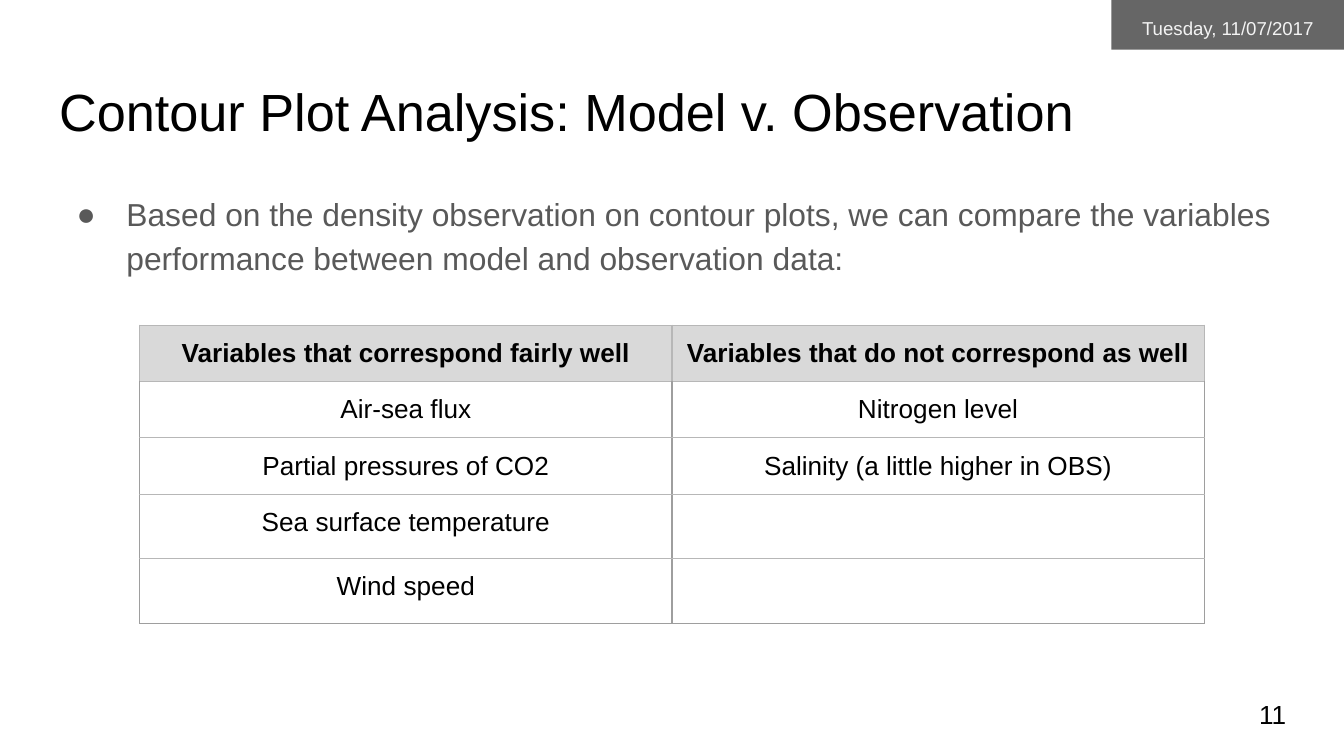
from lxml.etree import SubElement
from pptx import Presentation
from pptx.dml.color import RGBColor
from pptx.enum.shapes import MSO_SHAPE
from pptx.enum.text import MSO_ANCHOR, MSO_AUTO_SIZE, PP_ALIGN
from pptx.oxml.ns import qn
from pptx.util import Inches, Pt

# Content
TITLE = "Contour Plot Analysis: Model v. Observation"
POINT = ("Based on the density observation on contour plots, we can compare "
         "the variables performance between model and observation data:")
DATE = "Tuesday, 11/07/2017"
PAGE = "11"
ROWS = [
    ("Variables that correspond fairly well",
     "Variables that do not correspond as well"),
    ("Air-sea flux", "Nitrogen level"),
    ("Partial pressures of CO2", "Salinity (a little higher in OBS)"),
    ("Sea surface temperature", ""),
    ("Wind speed", ""),
]

THEME = {
    "font": "Arial",
    "ink": "000000", "body": "595959", "pale": "F3F3F3",
    "tag": "666666", "head": "D9D9D9", "line": "B7B7B7", "edge": "9E9E9E",
    "title_size": 28, "body_size": 17, "cell_size": 14, "date_size": 10,
    "blank_size": 18,
}
COL_W, ROW_H = Inches(3.96), Inches(5) // 12


def place(shape, left, top, width, height):
    shape.left, shape.top = Inches(left), Inches(top)
    shape.width, shape.height = Inches(width), Inches(height)


def write(frame, text, size, color, align=PP_ALIGN.LEFT, bold=False):
    frame.text = text
    para = frame.paragraphs[0]
    para.alignment = align
    font = para.font
    font.name, font.size, font.bold = THEME["font"], Pt(THEME[size]), bold
    font.color.rgb = RGBColor.from_string(THEME[color])
    return para


def setup(frame, anchor=MSO_ANCHOR.TOP):
    frame.word_wrap = True
    frame.auto_size = MSO_AUTO_SIZE.NONE
    frame.vertical_anchor = anchor
    frame.margin_left = frame.margin_right = Inches(0.1)
    frame.margin_top = frame.margin_bottom = Inches(0.1)
    return frame


def space(para):
    para.line_spacing = 1.15
    para.space_before, para.space_after = Pt(0), Pt(16)


def bullet(para, color):
    props = para._p.get_or_add_pPr()
    props.set("marL", str(Inches(0.5)))
    props.set("indent", str(Inches(-0.37)))
    last = props.find(qn("a:defRPr"))
    tint = SubElement(props, qn("a:buClr"))
    SubElement(tint, qn("a:srgbClr"), val=THEME[color])
    SubElement(props, qn("a:buFont"), typeface=THEME["font"])
    SubElement(props, qn("a:buChar"), char="●")
    props.append(last)


def blank(para):
    mark = SubElement(para._p, qn("a:endParaRPr"),
                      sz=str(THEME["blank_size"] * 100))
    SubElement(mark, qn("a:latin"), typeface=THEME["font"])


def border(cell, sides):
    props = cell._tc.get_or_add_tcPr()
    for side, color in sides.items():
        line = SubElement(props, qn(f"a:ln{side}"), w=str(Pt(0.75)))
        fill = SubElement(line, qn("a:solidFill"))
        SubElement(fill, qn("a:srgbClr"), val=THEME[color])


deck = Presentation()
deck.slide_width = Inches(10)
deck.slide_height = deck.slide_width * 9 // 16
slide = deck.slides.add_slide(deck.slide_layouts[1])

# Title and body
title, body = slide.shapes.title, slide.placeholders[1]
place(title, 0.34, 0.49, 9.32, 0.63)
write(setup(title.text_frame), TITLE, "title_size", "ink")
place(body, 0.34, 1.31, 9.32, 5.25)
point = write(setup(body.text_frame), POINT, "body_size", "body")
space(point)
bullet(point, "body")

# Page number
num = slide.shapes.add_textbox(Inches(9.27), Inches(5.1), Inches(0.6), Inches(0.43))
write(setup(num.text_frame, MSO_ANCHOR.MIDDLE), PAGE, "cell_size", "ink")

# Comparison table
table = slide.shapes.add_table(
    len(ROWS), 2, Inches(1.04), Inches(2.42),
    2 * COL_W, len(ROWS) * ROW_H).table
table.first_row = table.horz_banding = False
for r, row in enumerate(ROWS):
    head, last = r == 0, r == len(ROWS) - 1
    side = "line" if head else "edge"
    for c, text in enumerate(row):
        cell = table.cell(r, c)
        cell.margin_left = cell.margin_right = Inches(0.1)
        cell.margin_top = cell.margin_bottom = Inches(0.1)
        border(cell, {"L": side, "R": side, "T": "line",
                      "B": "edge" if last else "line"})
        if head:
            cell.fill.solid()
            cell.fill.fore_color.rgb = RGBColor.from_string(THEME["head"])
        else:
            cell.fill.background()
        if text:
            write(cell.text_frame, text, "cell_size", "ink", PP_ALIGN.CENTER, head)
        else:
            blank(cell.text_frame.paragraphs[0])

# Date tag
tag = slide.shapes.add_shape(
    MSO_SHAPE.RECTANGLE, Inches(8.27), 0, Inches(1.73), Inches(0.37))
tag.shadow.inherit = False
tag.fill.solid()
tag.fill.fore_color.rgb = RGBColor.from_string(THEME["tag"])
tag.line.fill.background()
space(write(setup(tag.text_frame), DATE, "date_size", "pale", PP_ALIGN.CENTER))

deck.save("out.pptx")
